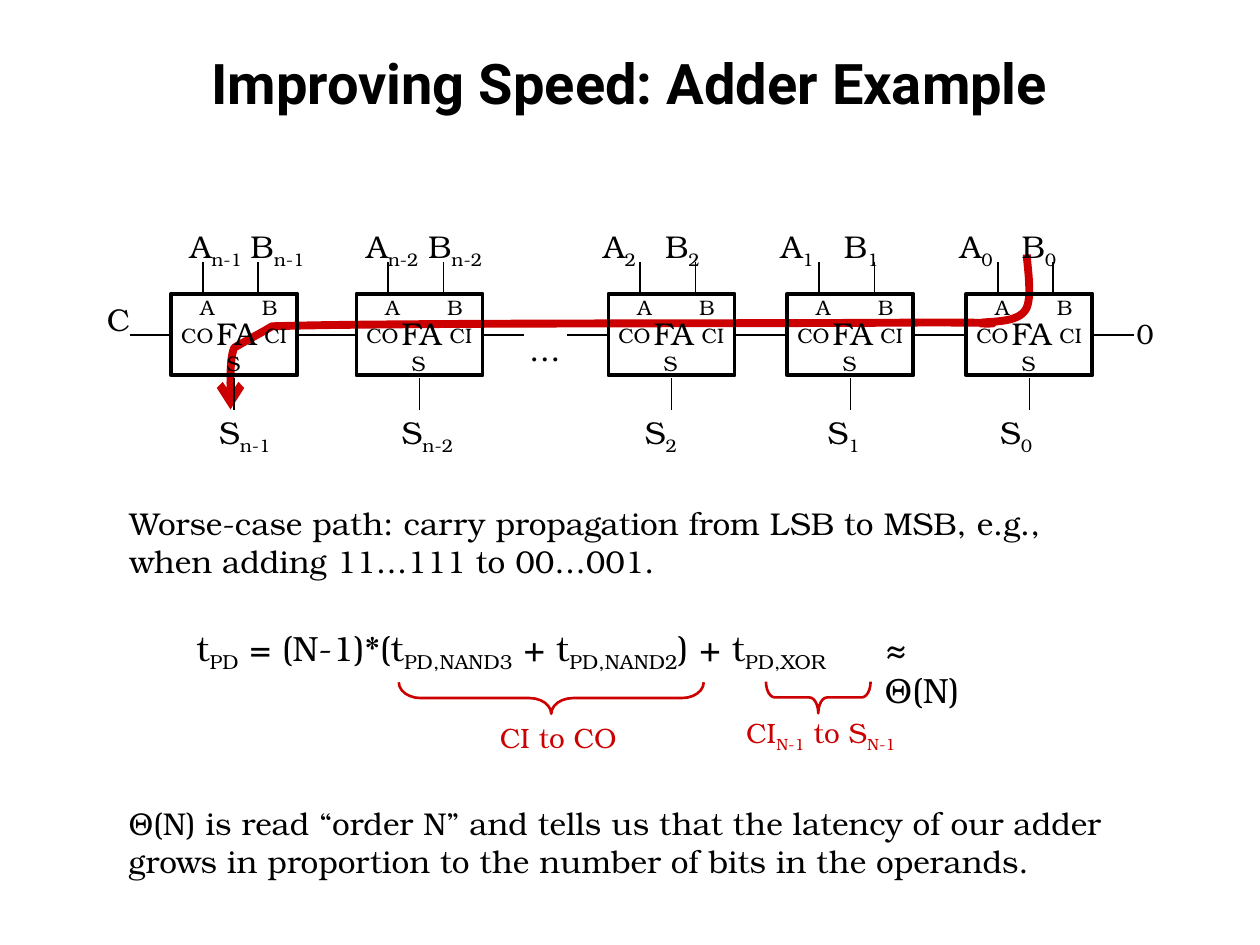
from dataclasses import dataclass

from lxml.etree import SubElement
from pptx import Presentation
from pptx.dml.color import RGBColor
from pptx.enum.shapes import MSO_CONNECTOR, MSO_SHAPE
from pptx.enum.text import MSO_ANCHOR, MSO_AUTO_SIZE, PP_ALIGN
from pptx.oxml.ns import qn
from pptx.util import Inches, Pt

BLACK, RED = "000000", "CC0000"
BODY, HEAD = "TeX Gyre Bonum", "Roboto"
CELL_TOP, CELL_W, CELL_H = 2.33, 1, 0.65
CELL_LEFTS = (7.67, 6.25, 4.83, 1.36, 2.83)
INDICES = ("n-1", "n-2", "2", "1", "0")
WIRES = (
    (0.25, -0.25, 0.25, 0),
    (0.69, -0.25, 0.69, 0),
    (0.5, 0.67, 0.5, 0.92),
    (1, 0.33, 1.33, 0.33),
    (-0.33, 0.33, 0, 0.33),
)


@dataclass(frozen=True)
class Line:
    """A paragraph whose runs alternate between baseline and subscript."""

    runs: tuple
    tabs: tuple = ()


@dataclass(frozen=True)
class Label:
    """A text box with its place, lines and look."""

    x: float
    y: float
    w: float
    h: float
    lines: tuple
    size: int = 18
    color: str = BLACK
    wrap: bool = False
    align: PP_ALIGN = PP_ALIGN.LEFT
    spacing: float = 1.0


@dataclass(frozen=True)
class Brace:
    """An upward-opening brace, given before its quarter turn."""

    x: float
    y: float
    h: float
    curve: float


PORTS = (
    Line(("\tA\tB",), (0.15, 0.64)),
    Line(("CO\tCI",), (0.66,)),
    Line(("\tS",), (0.36,)),
)
INPUT_TABS = (0.08, 0.56, 1.48, 1.97, 3.36, 3.85, 4.77, 5.27, 6.19, 6.68)
SUM_TABS = (0.06, 1.51, 3.44, 4.89, 6.26)
INPUTS = tuple(t for i in INDICES for t in ("\tA", i, "\tB", i))
SUMS = tuple(t for i in INDICES for t in ("\tS", i))
DELAY = ("t", "PD", " = (N-1)*(t", "PD,NAND3", " + t", "PD,NAND2", ") + t", "PD,XOR")
WORST = ("Worse-case path: carry propagation from LSB to MSB, e.g., "
         "when adding 11…111 to 00…001.")
ORDER = ("Θ(N) is read “order N” and tells us that the latency of our adder "
         "grows in proportion to the number of bits in the operands.")
LABELS = (
    Label(0.93, 3.95, 7.82, 0.71, (Line((WORST,)),), wrap=True),
    Label(1.33, 1.75, 7.63, 0.4, (Line(INPUTS, INPUT_TABS),), wrap=True),
    Label(1.58, 3.23, 6.92, 0.4, (Line(SUMS, SUM_TABS),), wrap=True),
    Label(0.75, 2.33, 0.39, 0.4, (Line(("C",)),)),
    Label(4.1, 2.57, 0.45, 0.4, (Line(("…",)),)),
    Label(8.92, 2.46, 0.34, 0.37, (Line(("0",)),), 16),
    Label(0.92, 6.33, 8.17, 0.71, (Line((ORDER,)),), wrap=True),
    Label(6.92, 4.92, 0.95, 0.77, (Line(("≈ Θ(N)",)),), 20, wrap=True),
    Label(3.86, 5.67, 1.14, 0.37, (Line(("CI to CO",)),), 16, RED,
          align=PP_ALIGN.CENTER),
    Label(5.78, 5.63, 1.47, 0.37, (Line(("CI", "N-1", " to S", "N-1")),), 16, RED,
          align=PP_ALIGN.CENTER),
    Label(1.46, 4.92, 5.62, 0.44, (Line(DELAY),), 20),
)
BRACES = (Brace(4.25, 4.33, 2.42, 0.69), Brace(6.37, 5.12, 0.83, 0.28))
CARRY_START = (8.15, 2.02)
CARRY_CURVES = (
    ((8.15, 2.09), (8.2, 2.37), (8.14, 2.46)),
    ((8.08, 2.55), (7.93, 2.55), (7.8, 2.56)),
    ((7.67, 2.58), (8.29, 2.56), (7.35, 2.56)),
    ((6.41, 2.57), (3.08, 2.56), (2.16, 2.59)),
    ((2.06, 2.65), (1.96, 2.7), (1.86, 2.76)),
    ((1.81, 2.87), (1.84, 3.15), (1.83, 3.25)),
)


def rgb(color: str) -> RGBColor:
    """Turn a hex string into a colour."""
    return RGBColor.from_string(color)


def add_run(p, text: str, size: float, color: str, font: str = BODY,
            bold: bool = False, sub: bool = False) -> None:
    """Add one formatted run to a paragraph."""
    r = p.add_run()
    r.text = text
    r.font.name, r.font.size, r.font.bold = font, Pt(size), bold
    r.font.color.rgb = rgb(color)
    if sub:
        r._r.get_or_add_rPr().set("baseline", "-25000")


def add_label(shapes, label: Label) -> None:
    """Draw a text box run by run."""
    sp = shapes.add_textbox(*map(Inches, (label.x, label.y, label.w, label.h)))
    tf = sp.text_frame
    tf.word_wrap = label.wrap
    tf.auto_size = MSO_AUTO_SIZE.SHAPE_TO_FIT_TEXT
    for i, line in enumerate(label.lines):
        p = tf.add_paragraph() if i else tf.paragraphs[0]
        p.alignment, p.line_spacing = label.align, label.spacing
        if line.tabs:
            tabs = SubElement(p._p.get_or_add_pPr(), qn("a:tabLst"))
            for pos in line.tabs:
                SubElement(tabs, qn("a:tab"), pos=str(Inches(pos)), algn="l")
        for j, text in enumerate(line.runs):
            add_run(p, text, label.size, label.color, sub=j % 2 == 1)


def outline(sp, color: str, width: float) -> None:
    """Leave a shape with an outline only."""
    sp.shadow.inherit = False
    sp.fill.background()
    sp.line.color.rgb, sp.line.width = rgb(color), Pt(width)


def add_wire(shapes, x1: float, y1: float, x2: float, y2: float) -> None:
    """Draw a thin straight wire."""
    c = shapes.add_connector(MSO_CONNECTOR.STRAIGHT, *map(Inches, (x1, y1, x2, y2)))
    c.line.color.rgb, c.line.width = rgb(BLACK), Pt(1)
    SubElement(c._element.spPr, qn("a:effectLst"))


def add_cell(s, x: float) -> None:
    """Draw one full adder with its ports and wires."""
    shapes = s.shapes.add_group_shape().shapes
    y = CELL_TOP
    sp = shapes.add_shape(MSO_SHAPE.RECTANGLE, *map(Inches, (x, y, CELL_W, CELL_H)))
    outline(sp, BLACK, 2.25)
    add_label(shapes, Label(x - 0.02, y - 0.06, 1.1, 0.76, PORTS, 12,
                            wrap=True, spacing=1.1))
    for x1, y1, x2, y2 in WIRES:
        add_wire(shapes, x + x1, y + y1, x + x2, y + y2)
    add_label(shapes, Label(x + 0.26, y + 0.11, 0.54, 0.4, (Line(("FA",)),)))


def add_carry_path(s, steps: int = 16) -> None:
    """Draw the curved critical path with an arrowhead."""
    points, a = [], CARRY_START
    for b, c, d in CARRY_CURVES:
        for t in (k / steps for k in range(1, steps + 1)):
            u = 1 - t
            points.append(tuple(
                Inches(u**3 * a[i] + 3 * u * u * t * b[i] + 3 * u * t * t * c[i] + t**3 * d[i])
                for i in (0, 1)))
        a = d
    fb = s.shapes.build_freeform(*map(Inches, CARRY_START))
    fb.add_line_segments(points, close=False)
    sp = fb.convert_to_shape()
    outline(sp, RED, 4.5)
    SubElement(sp.line._get_or_add_ln(), qn("a:tailEnd"), type="arrow")


def add_brace(s, brace: Brace) -> None:
    """Draw a brace below the formula."""
    sp = s.shapes.add_shape(MSO_SHAPE.LEFT_BRACE,
                            *map(Inches, (brace.x, brace.y, 0.25, brace.h)))
    sp.rotation = 270
    sp.adjustments[0], sp.adjustments[1] = brace.curve, 0.5
    outline(sp, RED, 1.5)


def add_title(s, text: str) -> None:
    """Place and format the slide title."""
    sp = s.shapes.title
    sp.left, sp.top, sp.width, sp.height = map(Inches, (0.5, 0.3, 9, 0.7))
    tf = sp.text_frame
    tf.auto_size, tf.vertical_anchor = MSO_AUTO_SIZE.NONE, MSO_ANCHOR.MIDDLE
    p = tf.paragraphs[0]
    p.alignment = PP_ALIGN.CENTER
    add_run(p, text, 32, BLACK, HEAD, bold=True)


def main() -> None:
    """Build and save the slide."""
    prs = Presentation()
    prs.slide_width, prs.slide_height = Inches(10), Inches(7.5)
    s = prs.slides.add_slide(prs.slide_layouts[5])
    add_title(s, "Improving Speed: Adder Example")
    add_carry_path(s)
    for x in CELL_LEFTS:
        add_cell(s, x)
    for brace in BRACES:
        add_brace(s, brace)
    for label in LABELS:
        add_label(s.shapes, label)
    prs.save("out.pptx")


main()
